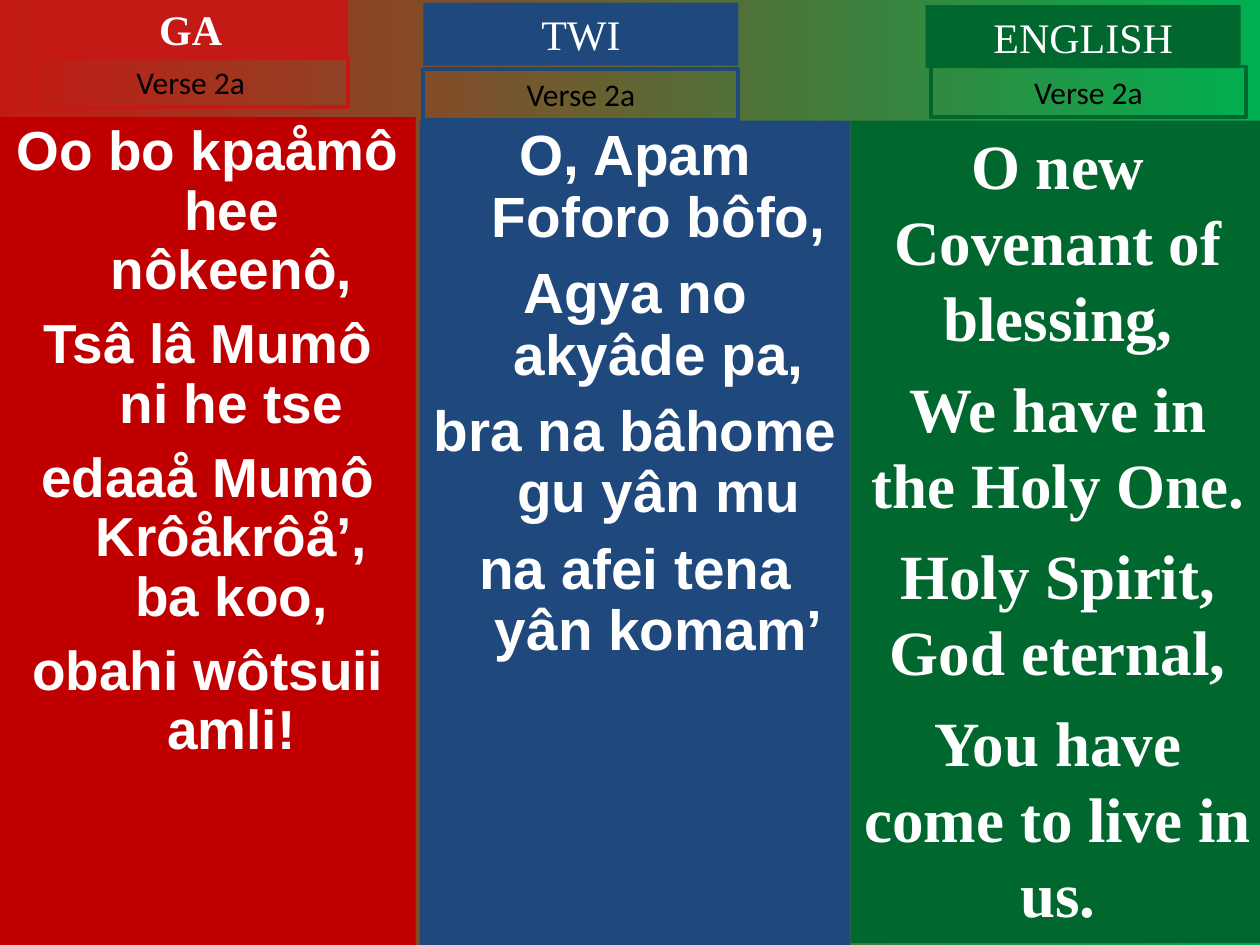
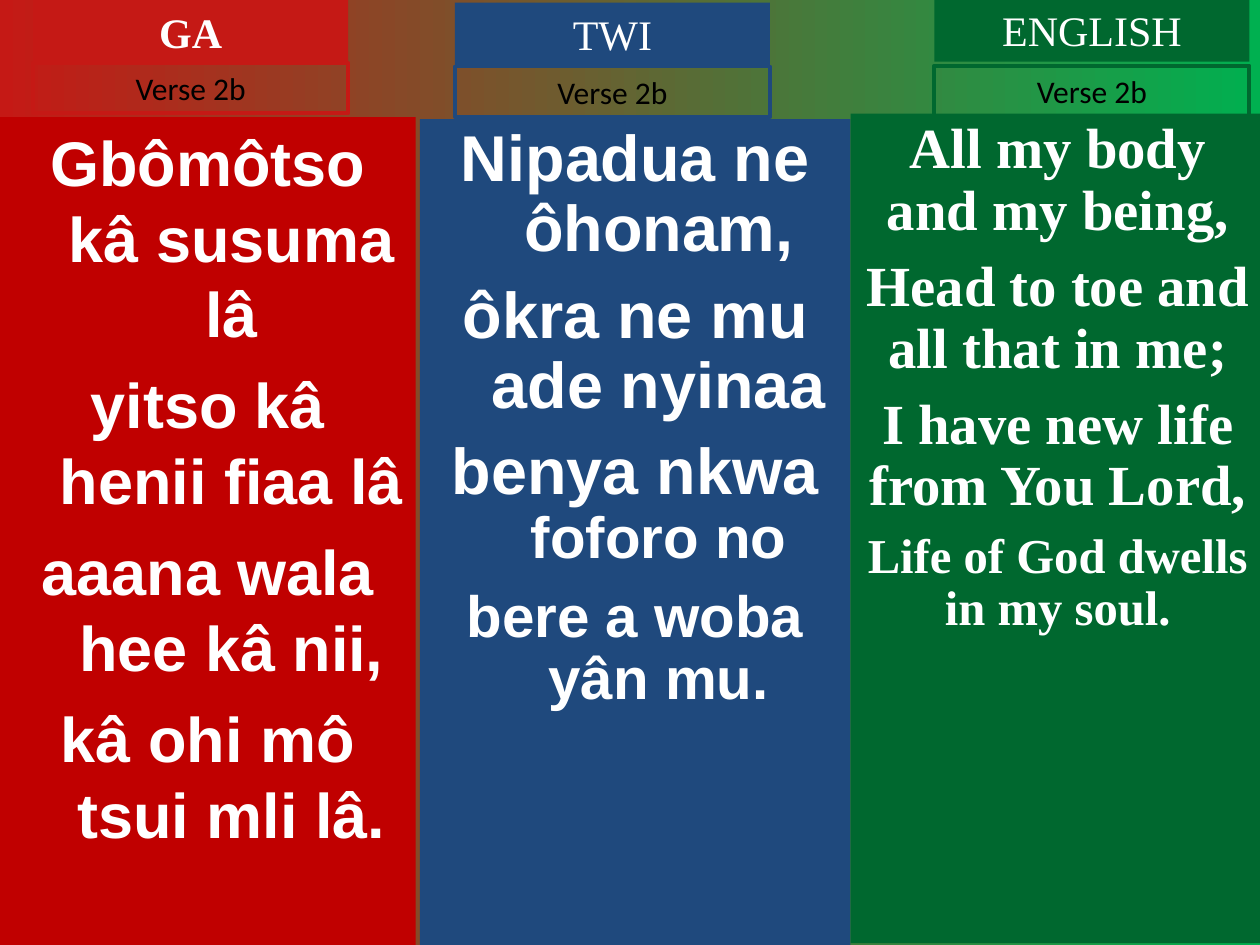
"""Build two hymn slides showing a verse side by side in Ga, Twi and English."""
from dataclasses import dataclass
from typing import NamedTuple

from pptx import Presentation
from pptx.dml.color import RGBColor as RGB
from pptx.enum.shapes import MSO_SHAPE as Preset
from pptx.enum.text import MSO_ANCHOR as Anchor
from pptx.enum.text import MSO_AUTO_SIZE as AutoSize
from pptx.enum.text import PP_ALIGN as Align
from pptx.slide import Slide
from pptx.util import Pt


@dataclass(frozen=True)
class Theme:
    red: str = "C51915"
    deep_red: str = "C00000"
    blue: str = "1F497D"
    green: str = "00682F"
    bright_green: str = "00B050"
    white: str = "FFFFFF"
    black: str = "000000"
    sans: str = "Arial"
    serif: str = "Times New Roman"
    label: str = "Calibri"
    title_size: float = 24
    verse_size: float = 18
    frame_width: float = 2.25
    hanging: float = 27


THEME = Theme()
SLIDE_WIDTH, SLIDE_HEIGHT = 720, 540
HEADING_WIDTH, TITLE_HEIGHT, VERSE_HEIGHT = 180, 36, 28.8


class Box(NamedTuple):
    left: float
    top: float
    width: float
    height: float


class Run(NamedTuple):
    text: str
    size: float


class Line(NamedTuple):
    runs: tuple[Run, ...]
    before: float = 0


@dataclass(frozen=True)
class Language:
    title: str
    accent: str
    panel: str
    font: str
    left: float
    width: float
    bottom: float = SLIDE_HEIGHT
    hanging: float = 0
    bold_title: bool = False


@dataclass(frozen=True)
class Stanza:
    title_at: tuple[float, float]
    verse_at: tuple[float, float]
    panel_top: float
    lines: tuple[Line, ...]
    spacing: float = 1.0


LANGUAGES = (
    Language("GA", THEME.red, THEME.deep_red, THEME.sans, 0, 237.6,
             hanging=THEME.hanging, bold_title=True),
    Language("TWI", THEME.blue, THEME.blue, THEME.sans, 240, 246,
             hanging=THEME.hanging),
    Language("ENGLISH", THEME.green, THEME.green, THEME.serif, 486, 237,
             bottom=539),
)


def even_lines(size: float, before: float, *texts: str) -> tuple[Line, ...]:
    """Make equally formatted lines, with no space above the first."""
    return tuple(Line((Run(text, size),), before if index else 0)
                 for index, text in enumerate(texts))


VERSES = {
    "Verse 2a": (
        Stanza((19, -1.5), (19, 32.4), 67, even_lines(
            31.4, 8.5, "Oo bo kpaåmô hee nôkeenô,", "Tsâ lâ Mumô ni he tse",
            "edaaå Mumô Krôåkrôå’, ba koo,", "obahi wôtsuii amli!"), 0.9),
        Stanza((242, 1.5), (242, 39.6), 69, even_lines(
            32.4, 8.8, "O, Apam Foforo bôfo,", "Agya no akyâde pa,",
            "bra na bâhome gu yân mu", "na afei tena yân komam’"), 0.9),
        Stanza((529, 3), (532, 38), 69, even_lines(
            36, 9, "O new Covenant of blessing,", "We have in the Holy One.",
            "Holy Spirit, God eternal,", "You have come to live in us.")),
    ),
    "Verse 2b": (
        Stanza((19, 0), (19, 36), 67, even_lines(
            36, 9, "Gbômôtso kâ susuma lâ", "yitso kâ henii fiaa lâ",
            "aaana wala hee kâ nii,", "kâ ohi mô tsui mli lâ.")),
        Stanza((260, 1.5), (260, 38), 68, (
            *even_lines(37, 10, "Nipadua ne ôhonam,", "ôkra ne mu ade nyinaa"),
            Line((Run("benya nkwa ", 37), Run("foforo no", 33.3)), 9),
            Line((Run("bere a woba yân mu.", 33.3),), 9)), 0.9),
        Stanza((534, -0.7), (534, 37.5), 65, (
            *even_lines(32.4, 8.8, "All my body and my being,",
                        "Head to toe and all that in me;",
                        "I have new life from You Lord,"),
            Line((Run("Life of God dwells in my soul.", 27.8),), 7.5)), 0.9),
    ),
}


def add_text_box(slide: Slide, box: Box, lines: tuple[Line, ...], *, font: str,
                 color: str = THEME.white, bold: bool = False,
                 fill: str | None = None, frame: str | None = None,
                 hanging: float = 0, spacing: float = 1.0,
                 grow: bool = False) -> None:
    """Draw a rectangle holding centred lines of text."""
    block = slide.shapes.add_shape(Preset.RECTANGLE, *map(Pt, box))
    block.shadow.inherit = False
    if fill:
        block.fill.solid()
        block.fill.fore_color.rgb = RGB.from_string(fill)
    else:
        block.fill.background()
    if frame:
        block.line.color.rgb = RGB.from_string(frame)
        block.line.width = Pt(THEME.frame_width)
    else:
        block.line.fill.background()

    words = block.text_frame
    words.word_wrap = True
    words.vertical_anchor = Anchor.TOP
    words.auto_size = AutoSize.SHAPE_TO_FIT_TEXT if grow else AutoSize.NONE
    for index, line in enumerate(lines):
        paragraph = words.add_paragraph() if index else words.paragraphs[0]
        paragraph.alignment = Align.CENTER
        paragraph.line_spacing = spacing
        paragraph.space_before = Pt(line.before)
        if hanging:
            indents = paragraph._p.get_or_add_pPr()
            indents.set("marL", str(Pt(hanging)))
            indents.set("indent", str(-Pt(hanging)))
        for part in line.runs:
            run = paragraph.add_run()
            run.text = part.text
            run.font.size = Pt(part.size)
            run.font.name = font
            run.font.bold = bold
            run.font.color.rgb = RGB.from_string(color)


def paint_background(slide: Slide) -> None:
    """Fill the slide with the red to green gradient."""
    fill = slide.background.fill
    fill.gradient()
    fill.gradient_angle = 0
    for stop, color in zip(fill.gradient_stops, (THEME.red, THEME.bright_green)):
        stop.color.rgb = RGB.from_string(color)


def add_column(slide: Slide, language: Language, stanza: Stanza, verse: str) -> None:
    """Draw one language's lyrics, title and verse label."""
    panel = Box(language.left, stanza.panel_top, language.width,
                language.bottom - stanza.panel_top)
    add_text_box(slide, panel, stanza.lines, font=language.font, bold=True,
                 fill=language.panel, hanging=language.hanging,
                 spacing=stanza.spacing)
    add_text_box(slide, Box(*stanza.title_at, HEADING_WIDTH, TITLE_HEIGHT),
                 even_lines(THEME.title_size, 0, language.title),
                 font=THEME.serif, bold=language.bold_title,
                 fill=language.accent, grow=True)
    add_text_box(slide, Box(*stanza.verse_at, HEADING_WIDTH, VERSE_HEIGHT),
                 even_lines(THEME.verse_size, 0, verse), font=THEME.label,
                 color=THEME.black, frame=language.accent, grow=True)


def main() -> None:
    """Build and save the presentation."""
    deck = Presentation()
    deck.slide_width, deck.slide_height = Pt(SLIDE_WIDTH), Pt(SLIDE_HEIGHT)
    for verse, stanzas in VERSES.items():
        slide = deck.slides.add_slide(deck.slide_layouts[6])
        paint_background(slide)
        for language, stanza in zip(LANGUAGES, stanzas):
            add_column(slide, language, stanza, verse)
    deck.save("out.pptx")


if __name__ == "__main__":
    main()
